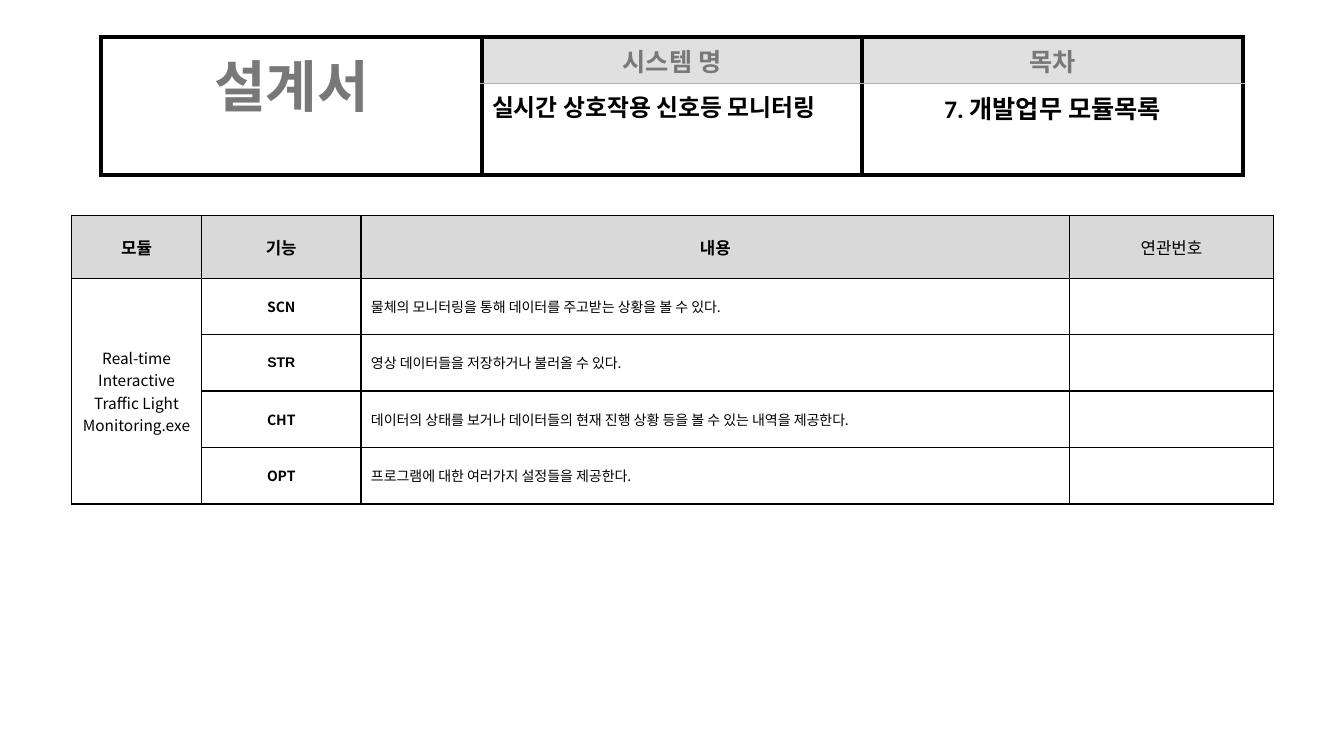
import pptx
import pptx.util
import pptx.dml.color
import pptx.enum.text
import pptx.oxml
import pptx.oxml.ns
from pptx.util import Inches

SANS = "Noto Sans CJK KR"
THEME = {
    "ink": "000000", "gray": "787878", "rule": "B2B2B2",
    "head": "D9D9D9", "paper": "FFFFFF",
    "title": 40, "label": 18, "name": 17, "column": 12, "module": 11, "body": 10,
    "thick": 3, "thin": 1, "tint": 40,
}

BANNER = {
    "title": "설계서",
    "fields": [("시스템 명", "실시간 상호작용 신호등 모니터링"),
               ("목차", "7. 개발업무 모듈목록")],
    "at": (1, 0.37), "cols": (3.78, 3.77, 3.78), "rows": (0.41, 0.77),
}
LIST = {
    "heads": ["모듈", "기능", "내용", "연관번호"],
    "module": "Real-time Interactive Traffic Light Monitoring.exe",
    "items": [
        ("SCN", SANS, "물체의 모니터링을 통해 데이터를 주고받는 상황을 볼 수 있다."),
        ("STR", "Arial", "영상 데이터들을 저장하거나 불러올 수 있다."),
        ("CHT", SANS, "데이터의 상태를 보거나 데이터들의 현재 진행 상황 등을 볼 수 있는 내역을 제공한다."),
        ("OPT", SANS, "프로그램에 대한 여러가지 설정들을 제공한다."),
    ],
    "at": (0.71, 2.14), "cols": (1.29, 1.58, 7.03, 2.02),
    "rows": (0.62, 0.56, 0.56, 0.56, 0.56),
}

ALIGN = pptx.enum.text.PP_ALIGN
MIDDLE = pptx.enum.text.MSO_ANCHOR.MIDDLE


def rgb(key):
    return pptx.dml.color.RGBColor.from_string(THEME[key])


def border(cell, width, **tones):
    """Rule all four sides; tones gives (colour, width) for odd sides."""
    props = cell._tc.get_or_add_tcPr()
    for side in "LRTB":
        tone, size = tones.get(side, ("ink", width))
        props.append(pptx.oxml.parse_xml(
            f'<a:ln{side} {pptx.oxml.ns.nsdecls("a")} w="{pptx.util.Pt(THEME[size])}">'
            f'<a:solidFill><a:srgbClr val="{THEME[tone]}"/></a:solidFill></a:ln{side}>'))


def paint(cell, key, tint=None):
    cell.fill.solid()
    cell.fill.fore_color.rgb = rgb(key)
    if tint:
        tone = cell._tc.tcPr.find(pptx.oxml.ns.qn("a:solidFill"))[0]
        tone.append(pptx.oxml.parse_xml(
            f'<a:alpha {pptx.oxml.ns.nsdecls("a")} val="{tint * 1000}"/>'))


def write(cell, text, size, font=SANS, tone="ink", bold=True, align=ALIGN.CENTER):
    cell.text_frame.text = text
    par = cell.text_frame.paragraphs[0]
    par.alignment = align
    run = par.runs[0]
    run.font.name = font
    run.font.size = pptx.util.Pt(THEME[size])
    run.font.bold = bold
    run.font.color.rgb = rgb(tone)
    east = pptx.oxml.parse_xml(
        f'<a:ea {pptx.oxml.ns.nsdecls("a")} typeface="{SANS}"/>')
    run._r.rPr.find(pptx.oxml.ns.qn("a:latin")).addnext(east)


def grid(slide, plan):
    """Add a bare table with the plan's place, columns and rows."""
    cols, rows = plan["cols"], plan["rows"]
    left, top = plan["at"]
    table = slide.shapes.add_table(
        len(rows), len(cols), Inches(left), Inches(top),
        Inches(sum(cols)), Inches(sum(rows))).table
    table.first_row = table.horz_banding = False
    for col, width in zip(table.columns, cols):
        col.width = Inches(width)
    for row, height in zip(table.rows, rows):
        row.height = Inches(height)
    return table


def banner(slide):
    table = grid(slide, BANNER)
    for row in range(2):
        border(table.cell(row, 0), "thick")
        paint(table.cell(row, 0), "paper")
    table.cell(0, 0).merge(table.cell(1, 0))
    write(table.cell(0, 0), BANNER["title"], "title", "Calibri", "gray")
    looks = [("name", SANS, ALIGN.LEFT), ("label", "Calibri", ALIGN.CENTER)]
    for col, ((label, value), look) in enumerate(zip(BANNER["fields"], looks), 1):
        head, cell = table.cell(0, col), table.cell(1, col)
        size, font, align = look
        border(head, "thick", B=("rule", "thin"))
        paint(head, "rule", THEME["tint"])
        write(head, label, "label", "Calibri", "gray")
        border(cell, "thick", T=("rule", "thin"))
        cell.fill.background()
        write(cell, value, size, font, align=align)


def listing(slide):
    table = grid(slide, LIST)
    for cell in table.iter_cells():
        border(cell, "thin")
        cell.fill.background()
        cell.vertical_anchor = MIDDLE
    for col, text in enumerate(LIST["heads"]):
        paint(table.cell(0, col), "head")
        write(table.cell(0, col), text, "column", bold=col < 3)
    table.cell(1, 0).merge(table.cell(len(LIST["items"]), 0))
    write(table.cell(1, 0), LIST["module"], "module", bold=False)
    for row, (code, font, text) in enumerate(LIST["items"], 1):
        write(table.cell(row, 1), code, "body", font)
        write(table.cell(row, 2), text, "body", bold=False, align=ALIGN.LEFT)


def main():
    deck = pptx.Presentation()
    deck.slide_width, deck.slide_height = Inches(13.33), Inches(7.5)
    slide = deck.slides.add_slide(deck.slide_layouts[6])
    banner(slide)
    listing(slide)
    deck.save("out.pptx")


if __name__ == "__main__":
    main()
